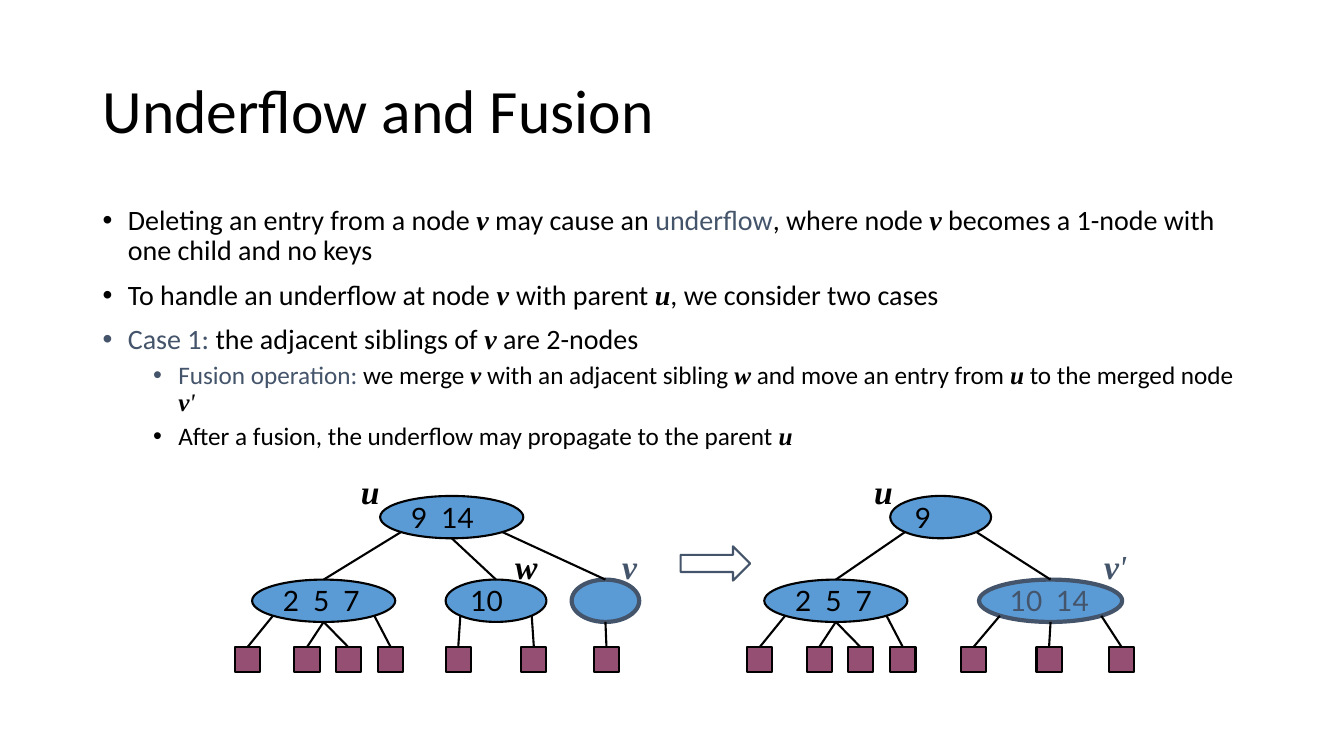
from pptx import Presentation
from pptx.dml.color import RGBColor
from pptx.enum.shapes import MSO_CONNECTOR as Connector, MSO_SHAPE as Shape
from pptx.enum.text import MSO_ANCHOR as Anchor, PP_ALIGN as Align
from pptx.oxml.ns import qn
from pptx.util import Inches, Pt
from lxml.etree import SubElement

BLACK, SLATE, BLUE, PLUM = "000000", "44546A", "5B9BD5", "954F72"
SANS, SERIF, KEY_FONT = "Calibri", "Times New Roman", "Lato"

# Span styles: font, bold, italic, colour
PLAIN = (SANS, False, False, BLACK)
TERM = (SANS, False, False, SLATE)
VAR = (SERIF, True, True, BLACK)
PRIME = (SERIF, False, True, BLACK)
KEY = (KEY_FONT, False, False, BLACK)
NEW_KEY = (KEY_FONT, False, False, SLATE)
NEW_VAR = (SERIF, True, True, SLATE)
NEW_PRIME = (SERIF, False, True, SLATE)

TITLE = [("Underflow and Fusion", PLAIN)]

# Level, spans
BULLETS = [
    (0, [("Deleting an entry from a node ", PLAIN), ("v", VAR), (" may cause an ", PLAIN),
         ("underflow", TERM), (", where node ", PLAIN), ("v", VAR),
         (" becomes a 1-node with one child and no keys", PLAIN)]),
    (0, [("To handle an underflow at node ", PLAIN), ("v ", VAR), ("with parent ", PLAIN),
         ("u", VAR), (", we consider two cases", PLAIN)]),
    (0, [("Case 1:", TERM), (" the adjacent siblings of ", PLAIN), ("v", VAR),
         (" are 2-nodes", PLAIN)]),
    (1, [("Fusion operation:", TERM), (" we merge ", PLAIN), ("v", VAR),
         (" with an adjacent sibling ", PLAIN), ("w", VAR),
         (" and move an entry from ", PLAIN), ("u", VAR),
         (" to the merged node ", PLAIN), ("v", VAR), ("'", PRIME)]),
    (1, [("After a fusion, the underflow may propagate to the parent ", PLAIN), ("u", VAR)]),
]
# Level: size, left margin, space before
LEVELS = {0: (20, 0.25, 10), 1: (18, 0.75, 5)}

# Root: keys, left, width, side that each child hangs from
# Child: keys, left, width, highlighted, leaves as (offset from node, side)
FOUR_LEAVES = [(-0.17, "left"), (0.42, "bottom"), (0.83, "bottom"), (1.25, "right")]
TREES = [
    (("9\t14", 3.77, 1.42, ["left", "bottom", "right"]),
     [("2\t5\t7", 2.5, 1.42, False, FOUR_LEAVES),
      ("10", 4.42, 1, False, [(0, "left"), (0.75, "right")]),
      ("", 5.67, 0.67, True, [(0.22, "bottom")])]),
    (("9", 8.83, 1, ["left", "right"]),
     [("2\t5\t7", 7.58, 1.42, False, FOUR_LEAVES),
      ("10\t14", 9.71, 1.42, True, [(-0.18, "left"), (0.57, "bottom"), (1.29, "right")])]),
]
ROOT_TOP, CHILD_TOP, LEAF_TOP = 4.92, 5.75, 6.42
NODE_HEIGHT, LEAF_SIZE = 0.42, 0.25
# Points on an ellipse, as fractions of its width and height
SIDES = {"left": (0.146, 0.854), "bottom": (0.5, 1), "right": (0.854, 0.854)}

# Left, top, width, spans
NODE_LABELS = [
    (3.58, 4.67, 0.19, [("u", VAR)]),
    (5.11, 5.42, 0.22, [("w", VAR)]),
    (6.17, 5.42, 0.15, [("v", NEW_VAR)]),
    (8.67, 4.67, 0.19, [("u", VAR)]),
    (10.95, 5.42, 0.22, [("v", NEW_VAR), ("'", NEW_PRIME)]),
]


def color(code):
    return RGBColor.from_string(code)


def add_spans(para, spans, size, line_spacing=1.0, before=0):
    para.alignment = Align.LEFT
    para.line_spacing = line_spacing
    para.space_before = Pt(before)
    for text, (font, bold, italic, code) in spans:
        span = para.add_run()
        span.text = text
        span.font.name, span.font.size = font, Pt(size)
        span.font.bold, span.font.italic = bold, italic
        span.font.color.rgb = color(code)


def add_bullet(para, margin):
    props = para._p.get_or_add_pPr()
    props.set("marL", str(Inches(margin)))
    props.set("indent", str(Inches(-0.25)))
    SubElement(props, qn("a:buFont"), typeface="Arial")
    SubElement(props, qn("a:buChar"), char="•")


def add_key_tabs(para, first, step):
    """Set the tab stops that space the keys inside a node."""
    tabs = SubElement(para._p.get_or_add_pPr(), qn("a:tabLst"))
    for position in (first, first + step):
        SubElement(tabs, qn("a:tab"), pos=str(Inches(position)), algn="l")


def add_box(left, top, width, height, wrap=True, anchor=Anchor.TOP):
    frame = page.shapes.add_textbox(*map(Inches, (left, top, width, height))).text_frame
    frame.word_wrap = wrap
    frame.vertical_anchor = anchor
    return frame


def add_outlined(kind, left, top, width, height, fill=None, line=BLACK, weight=1.5):
    shape = page.shapes.add_shape(kind, *map(Inches, (left, top, width, height)))
    shape.shadow.inherit = False
    if fill:
        shape.fill.solid()
        shape.fill.fore_color.rgb = color(fill)
    else:
        shape.fill.background()
    shape.line.color.rgb = color(line)
    shape.line.width = Pt(weight)
    return shape


def add_node(keys, left, top, width, highlighted=False):
    node = add_outlined(Shape.OVAL, left, top, width, NODE_HEIGHT, BLUE,
                        SLATE if highlighted else BLACK, 3 if highlighted else 1.5)
    if keys:
        frame = node.text_frame
        frame.word_wrap = False
        frame.vertical_anchor = Anchor.MIDDLE
        para = frame.paragraphs[0]
        if "\t" in keys:
            add_key_tabs(para, 0.46 if keys.startswith("10") else 0.3, 0.3)
        add_spans(para, [(keys, NEW_KEY if highlighted else KEY)], 20)
    return node


def add_edge(child, parent, side):
    """Draw a line from the top of the child to a point on the parent."""
    across, down = SIDES[side]
    end_x = parent.left + int(parent.width * across)
    end_y = parent.top + int(parent.height * down)
    edge = page.shapes.add_connector(Connector.STRAIGHT, child.left, child.top, end_x, end_y)
    edge.begin_connect(child, 0)
    edge.line.color.rgb = color(BLACK)
    edge.line.width = Pt(1.5)
    SubElement(edge._element.spPr, qn("a:effectLst"))


def add_tree(root, children):
    keys, left, width, sides = root
    top_node = add_node(keys, left, ROOT_TOP, width)
    for (keys, left, width, highlighted, leaves), side in zip(children, sides):
        node = add_node(keys, left, CHILD_TOP, width, highlighted)
        add_edge(node, top_node, side)
        for offset, leaf_side in leaves:
            leaf = add_outlined(Shape.RECTANGLE, left + offset, LEAF_TOP,
                                LEAF_SIZE, LEAF_SIZE, PLUM)
            add_edge(leaf, node, leaf_side)


deck = Presentation()
deck.slide_width, deck.slide_height = Inches(13.33), Inches(7.5)
page = deck.slides.add_slide(deck.slide_layouts[6])

title = add_box(0.92, 0.4, 11.5, 1.45, anchor=Anchor.MIDDLE)
add_spans(title.paragraphs[0], TITLE, 44, 0.9)

body = add_box(0.92, 2, 11.5, 4.76)
for index, (level, spans) in enumerate(BULLETS):
    para = body.add_paragraph() if index else body.paragraphs[0]
    size, margin, before = LEVELS[level]
    para.level = level
    add_bullet(para, margin)
    add_spans(para, spans, size, 0.9, before if index else 0)

for root, children in TREES:
    add_tree(root, children)

for left, top, width, spans in NODE_LABELS:
    label = add_box(left, top, width, 0.4, wrap=False)
    label.margin_left = label.margin_right = label.margin_top = label.margin_bottom = 0
    add_spans(label.paragraphs[0], spans, 24)

add_outlined(Shape.RIGHT_ARROW, 6.75, 5.42, 0.69, 0.34, line=SLATE)

deck.save("out.pptx")
